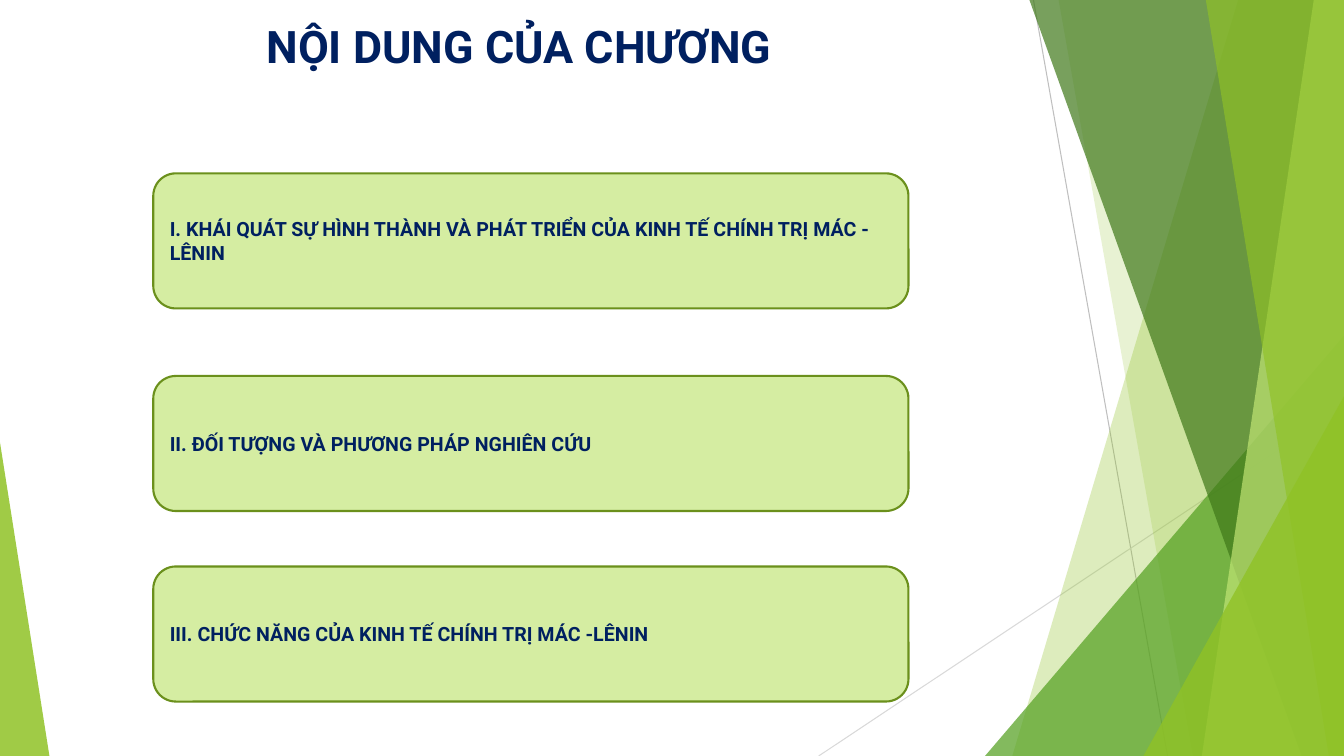
from lxml import etree
from pptx import Presentation
from pptx import util as u
from pptx.dml.color import RGBColor
from pptx.enum import shapes, text
from pptx.oxml import ns

COLOURS = {
    "navy": "002060",
    "lime": "90C226",
    "pale lime": "C0E474",
    "green": "54A021",
    "dark green": "3F7819",
    "box fill": "D5EDA2",
    "box line": "6B901C",
    "grey": "BFBFBF",
    "light grey": "D9D9D9",
}
FONT = "Roboto"
WIDTH, HEIGHT = 13.33, 7.5


def fill_translucent(shape, colour, opacity):
    """Fill without an outline; opacity is a percentage."""
    shape.shadow.inherit = False
    shape.line.fill.background()
    shape.fill.solid()
    shape.fill.fore_color.rgb = RGBColor.from_string(COLOURS[colour])
    srgb = shape.fill._xPr.find(".//" + ns.qn("a:srgbClr"))
    etree.SubElement(srgb, ns.qn("a:alpha"), val=str(opacity * 1000))


def write_bold(frame, wording, size, alignment):
    frame.text = wording
    frame.word_wrap = True
    para = frame.paragraphs[0]
    para.alignment = alignment
    span = para.runs[0]
    span.font.name = FONT
    span.font.size = u.Pt(size)
    span.font.bold = True
    span.font.color.rgb = RGBColor.from_string(COLOURS["navy"])


deck = Presentation()
deck.slide_width, deck.slide_height = u.Inches(WIDTH), u.Inches(HEIGHT)
page = deck.slides.add_slide(deck.slide_layouts[5])

# Thin lines behind the facets
for x1, y1, x2, y2, colour in [
    (10.25, 0, 11.58, HEIGHT, "grey"),
    (WIDTH, 4.03, 8.12, HEIGHT, "light grey"),
]:
    line = page.shapes.add_connector(
        shapes.MSO_CONNECTOR.STRAIGHT,
        u.Inches(x1), u.Inches(y1), u.Inches(x2), u.Inches(y2),
    )
    line.line.color.rgb = RGBColor.from_string(COLOURS[colour])
    line.line.width = u.Pt(0.75)
    etree.SubElement(line._element.spPr, ns.qn("a:effectLst"))

# Facets from back to front: full-height bands give the x of their slanted
# edge at top and bottom; triangles give left, top, width and apex position
facets = [
    ("band", (12.28, 10.04), "lime", 30),
    ("band", (10.5, 11.83), "lime", 20),
    ("triangle", (9.77, 3.33, 3.56, 1), "green", 72),
    ("band", (10.21, 12.91), "dark green", 70),
    ("band", (13.03, 11.92), "pale lime", 70),
    ("band", (11.96, 13.18), "lime", 65),
    ("triangle", (11.34, 3.93, 1.99, 1), "lime", 80),
    ("triangle", (0, 4.39, 0.49, 0), "lime", 85),
]
for kind, geometry, colour, opacity in facets:
    if kind == "band":
        top_x, bottom_x = geometry
        outline = page.shapes.build_freeform(u.Inches(top_x), 0)
        corners = [(WIDTH, 0), (WIDTH, HEIGHT), (bottom_x, HEIGHT)]
        outline.add_line_segments([(u.Inches(x), u.Inches(y)) for x, y in corners])
        facet = outline.convert_to_shape()
    else:
        left, top, width, apex = geometry
        facet = page.shapes.add_shape(
            shapes.MSO_SHAPE.ISOSCELES_TRIANGLE,
            u.Inches(left), u.Inches(top), u.Inches(width), u.Inches(HEIGHT - top),
        )
        facet.adjustments[0] = apex
    fill_translucent(facet, colour, opacity)

# Title
title = page.shapes.title
title.left, title.top = u.Inches(0.65), u.Inches(0.14)
title.width, title.height = u.Inches(9), u.Inches(0.92)
write_bold(title.text_frame, "NỘI DUNG CỦA CHƯƠNG", 32, text.PP_ALIGN.CENTER)
title.text_frame.vertical_anchor = text.MSO_ANCHOR.TOP

# Chapter sections
sections = [
    (1.72, "I. KHÁI QUÁT SỰ HÌNH THÀNH VÀ PHÁT TRIỂN CỦA KINH TẾ CHÍNH TRỊ MÁC - LÊNIN"),
    (3.73, "II. ĐỐI TƯỢNG VÀ PHƯƠNG PHÁP NGHIÊN CỨU"),
    (5.62, "III. CHỨC NĂNG CỦA KINH TẾ CHÍNH TRỊ MÁC -LÊNIN"),
]
for top, wording in sections:
    box = page.shapes.add_shape(
        shapes.MSO_SHAPE.ROUNDED_RECTANGLE,
        u.Inches(1.52), u.Inches(top), u.Inches(7.49), u.Inches(1.34),
    )
    box.shadow.inherit = False
    box.fill.solid()
    box.fill.fore_color.rgb = RGBColor.from_string(COLOURS["box fill"])
    box.line.color.rgb = RGBColor.from_string(COLOURS["box line"])
    box.line.width = u.Pt(1.5)
    write_bold(box.text_frame, wording, 14, text.PP_ALIGN.LEFT)
    box.text_frame.vertical_anchor = text.MSO_ANCHOR.MIDDLE

deck.save("out.pptx")
